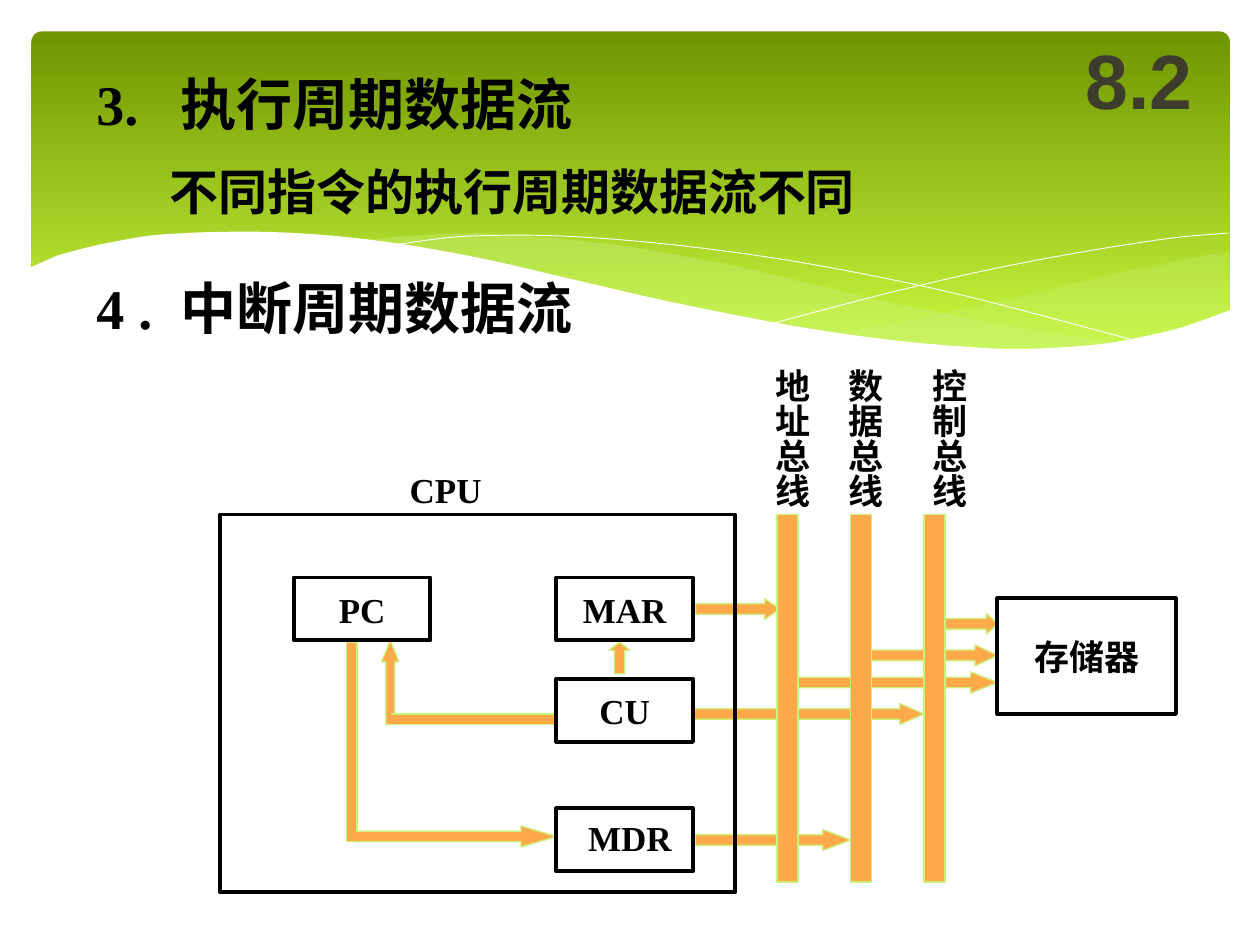
from lxml import etree
from pptx import Presentation
from pptx import util as u
from pptx.dml.color import RGBColor
from pptx.enum import shapes, text
from pptx.oxml import ns

BLACK = RGBColor(0x00, 0x00, 0x00)
WHITE = RGBColor(0xFF, 0xFF, 0xFF)
GRAY = RGBColor(0x3E, 0x3D, 0x2D)
MOSS = RGBColor(0x6F, 0x95, 0x00)
LIME = RGBColor(0xD0, 0xFF, 0x44)
PALE = RGBColor(0xCA, 0xF2, 0x78)
AMBER = RGBColor(0xFF, 0xA9, 0x4A)
SERIF = "Times New Roman"
KIND = shapes.MSO_SHAPE

EAST = [
    (702, 144), (682.5, 147), (663, 151.2), (641.5, 155.5), (620, 160.6),
    (599, 165.6), (561, 174.2), (525, 182.2), (476, 190.8), (497.5, 193.7),
    (527, 197.3), (562, 199.4), (594, 199.6), (628, 197.3), (663, 190.8),
    (693, 181.4), (702.7, 177.8), (702.7, 144),
]
WEST = [
    (643, 196.6), (603, 190.8), (558, 182.9), (508, 172.8), (453, 159.8),
    (420.5, 151.9), (389.5, 146.2), (361, 141.1), (317.5, 136), (274, 133.2),
    (248, 133.9), (225, 135.4), (206, 137.5), (232.6, 141.1), (261, 146.2),
    (291, 151.9), (323, 159.8), (353.5, 167), (407.5, 178.6), (456.5, 187.9),
    (500, 194.4), (538.5, 198), (573, 200.2), (611, 199.4),
]
FALL = [
    (222.5, 140.4), (254, 136), (279, 134.6), (312, 134.6), (352, 136.8),
    (401, 141.8), (458, 150), (523.5, 162.7), (572, 174.2), (653, 195.8),
]
RISE = [
    (441, 185), (484, 173.5), (518, 164.9), (558.7, 155.5), (602, 146.9),
    (644.4, 139.7), (675, 135.4), (702, 133.2),
]
FRONT = [
    (703.4, 177), (677, 186.5), (655, 192), (630, 196.5), (603, 198.7),
    (582, 199.4), (560, 198.7), (510, 194.4), (451, 185.8), (381, 172),
    (322, 158.4), (281.5, 149), (244, 141.8), (210, 136.8), (180, 133.9),
    (152, 132.5), (127, 132.5), (105, 133.2), (85.7, 134.6), (68.4, 137.5),
    (54, 140.4), (42.5, 143.3), (33, 146), (26, 149), (16.6, 153.2),
]
BASE = [(16.6, 237), (703.4, 237)]


def place(x, y, w, h):
    return [u.Pt(n) for n in (x, y, w, h)]


def smooth(pts, steps=4):
    ring = [pts[0], *pts, pts[-1]]
    curve = []
    for quad in zip(ring, ring[1:], ring[2:], ring[3:]):
        for t in (i / steps for i in range(steps)):
            curve.append(tuple(
                b + t * (c - a + t * (2 * a - 5 * b + 4 * c - d
                                      + t * (3 * b - a - 3 * c + d))) / 2
                for a, b, c, d in zip(*quad)))
    return curve + [pts[-1]]


def style(frame, size, font, color, align=None):
    para = frame.paragraphs[0]
    para.alignment = align
    for run in para.runs:
        run.font.size = u.Pt(size)
        run.font.name = font
        run.font.bold = True
        run.font.color.rgb = color


def wave(slide, pts, fill=None, alpha=100):
    dots = [(u.Pt(x), u.Pt(y)) for x, y in pts]
    pen = slide.shapes.build_freeform(*dots[0])
    pen.add_line_segments(dots[1:], close=fill is not None)
    form = pen.convert_to_shape()
    form.shadow.inherit = False
    if fill is None:
        form.fill.background()
        form.line.color.rgb = WHITE
        form.line.width = u.Pt(0.5)
        return
    form.line.fill.background()
    form.fill.solid()
    form.fill.fore_color.rgb = fill
    if alpha < 100:
        tint = form.element.spPr.find(".//" + ns.qn("a:srgbClr"))
        etree.SubElement(tint, ns.qn("a:alpha"), val=str(alpha * 1000))


def header(slide):
    panel = slide.shapes.add_shape(
        KIND.ROUNDED_RECTANGLE, *place(18, 18, 684.7, 194.4))
    panel.adjustments[0] = 0.03
    panel.shadow.inherit = False
    panel.line.fill.background()
    panel.fill.gradient()
    panel.fill.gradient_angle = 270
    for i, color in enumerate([MOSS, LIME]):
        stop = panel.fill.gradient_stops[i]
        stop.position = i
        stop.color.rgb = color
    wave(slide, EAST, PALE, 29)
    wave(slide, WEST, PALE, 40)
    wave(slide, smooth(FALL))
    wave(slide, smooth(RISE))
    wave(slide, smooth(FRONT) + BASE, WHITE)


def bar(slide, box, kind=KIND.RECTANGLE, tip=None, edge=PALE):
    flow = slide.shapes.add_shape(kind, *place(*box))
    if tip is not None:
        flow.adjustments[0] = 0.5
        flow.adjustments[1] = tip
    flow.shadow.inherit = False
    flow.fill.solid()
    flow.fill.fore_color.rgb = AMBER
    flow.line.color.rgb = edge
    flow.line.width = u.Pt(0.75)


def unit(slide, box, name=""):
    part = slide.shapes.add_shape(KIND.RECTANGLE, *place(*box))
    part.shadow.inherit = False
    part.fill.background()
    part.line.color.rgb = BLACK
    part.line.width = u.Pt(2.25)
    if name:
        frame = part.text_frame
        frame.word_wrap = False
        frame.vertical_anchor = text.MSO_ANCHOR.MIDDLE
        frame.text = name
        style(frame, 20, SERIF, BLACK, text.PP_ALIGN.CENTER)


def label(slide, box, words, size=20, tab=None, tall=False):
    frame = slide.shapes.add_textbox(*place(*box)).text_frame
    frame.word_wrap = True
    frame.text = words
    if tab:
        props = frame.paragraphs[0]._p.get_or_add_pPr()
        tabs = etree.SubElement(props, ns.qn("a:tabLst"))
        etree.SubElement(tabs, ns.qn("a:tab"), pos=str(u.Pt(tab)), algn="l")
    if tall:
        frame._txBody.bodyPr.set("vert", "eaVert")
        frame.margin_left = frame.margin_right = u.Pt(3.6)
        frame.margin_top = frame.margin_bottom = u.Pt(7.2)
    style(frame, size, SERIF, BLACK)


def flows(slide):
    for x, y, w, tip in [
        (397.5, 342, 48, 0.71), (397.5, 474, 88.5, 1.32),
        (498, 368.5, 72, 1.07), (396, 402, 132, 1.15),
        (456, 384, 114, 1.27), (534, 350.5, 36, 0.53), (204, 472, 114, 1.69),
    ]:
        bar(slide, (x, y, w, 12), KIND.RIGHT_ARROW, tip)
    bar(slide, (218, 366, 10, 48), KIND.UP_ARROW, 1.22)
    bar(slide, (348, 367, 12, 18), KIND.UP_ARROW, 0.38)
    bar(slide, (198, 367, 6, 114))
    bar(slide, (224, 408, 94, 6))
    for patch in [(201, 475.8, 6, 4.4), (453.5, 388, 5.5, 4),
                  (221.3, 408.8, 5, 4.4)]:
        bar(slide, patch, edge=AMBER)


def title(slide):
    head = slide.shapes.title
    head.left, head.top, head.width, head.height = place(606, 12, 90, 66)
    frame = head.text_frame
    frame.text = "8.2"
    frame.word_wrap = True
    frame.auto_size = text.MSO_AUTO_SIZE.NONE
    frame.vertical_anchor = text.MSO_ANCHOR.MIDDLE
    style(frame, 44, "Arial", GRAY, text.PP_ALIGN.CENTER)
    head.element.getparent().append(head.element)


def main():
    deck = Presentation()
    deck.slide_width, deck.slide_height = u.Pt(720), u.Pt(540)
    slide = deck.slides.add_slide(deck.slide_layouts[5])
    header(slide)
    flows(slide)
    label(slide, (48, 36, 450, 46), "3.\t执行周期数据流", 32, 48)
    label(slide, (48, 152.5, 450, 46), "4 .\t中断周期数据流", 32, 48)
    label(slide, (90, 88.5, 420, 41), "不同指令的执行周期数据流不同", 28)
    for i, (x, name) in enumerate(
            [(430, "地址总线"), (471.5, "数据总线"), (520, "控制总线")]):
        bar(slide, (444 + 42 * i, 294, 12, 210))
        label(slide, (x, 203.5, 38, 98), name, tall=True)
    unit(slide, (126, 294, 294, 216))
    label(slide, (227, 264, 64, 31.5), "CPU")
    for x, y, name in [(168, 330, "PC"), (318, 330, "MAR"),
                       (318, 388, "CU"), (318, 462, "")]:
        unit(slide, (x, y, 78, 36), name)
    label(slide, (329, 463, 67, 31.5), "MDR")
    unit(slide, (570, 342, 102, 66), "存储器")
    title(slide)
    deck.save("out.pptx")


if __name__ == "__main__":
    main()
